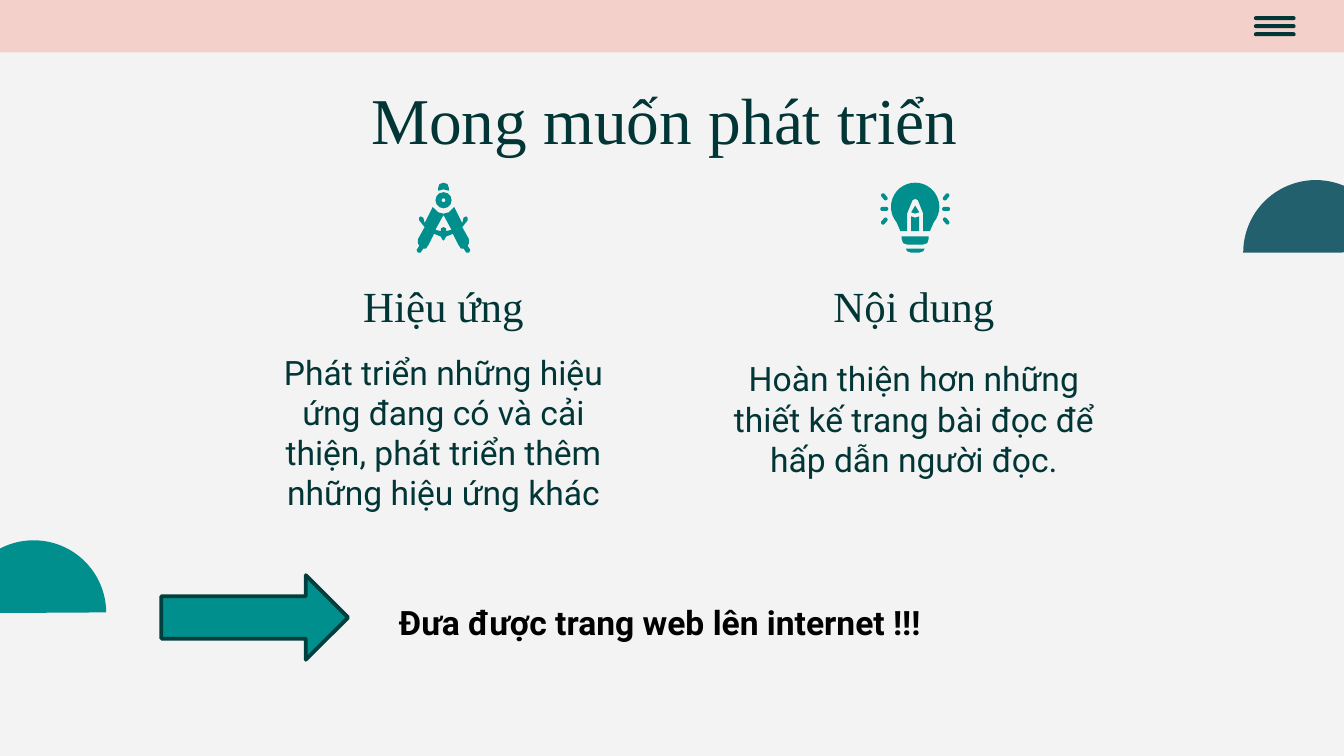
import math

import pptx
import pptx.dml.color
import pptx.enum.shapes
import pptx.enum.text
import pptx.util

Inches = pptx.util.Inches
Pt = pptx.util.Pt
SHAPE = pptx.enum.shapes.MSO_SHAPE
ALIGN = pptx.enum.text.PP_ALIGN
ANCHOR = pptx.enum.text.MSO_ANCHOR

DARK, TEAL, BLUE, PINK, PAPER = "023535", "008F8C", "23606E", "F3D0C9", "F3F3F3"
SERIF, SANS = "Times New Roman", "Roboto"

# Content
TITLE = "Mong muốn phát triển "
CONCLUSION = "Đưa được trang web lên internet !!!"
# heading, body, left edge, body top
COLUMNS = [
    ("Hiệu ứng",
     "Phát triển những hiệu ứng đang có và cải thiện, phát triển thêm những hiệu ứng khác",
     1.84, 2.66),
    ("Nội dung",
     "Hoàn thiện hơn những thiết kế trang bài đọc để hấp dẫn người đọc.",
     5.34, 2.56),
]
HALF_DISCS = [(9.25, 1.34, BLUE), (-0.29, 4.02, TEAL)]

# Icon outlines: right halves as (distance from axis, y), mirrored when drawn
COMPASS_AXIS, BULB_AXIS = 3.3, 6.81
COMPASS_CAP = [(0, 1.36), (0.03, 1.37), (0.04, 1.4), (0.04, 1.42), (0, 1.41)]
COMPASS_LEGS = [
    (0, 1.59), (0.04, 1.58), (0.08, 1.54), (0.14, 1.66), (0.15, 1.62),
    (0.17, 1.61), (0.18, 1.62), (0.18, 1.64), (0.14, 1.69), (0.19, 1.78),
    (0.19, 1.81), (0.18, 1.83), (0.2, 1.86), (0.19, 1.88), (0.17, 1.88),
    (0.15, 1.85), (0.13, 1.85), (0.11, 1.82), (0.07, 1.74), (0.02, 1.76),
    (0.01, 1.78), (0, 1.79)]
COMPASS_GAP = [(0, 1.6), (0.06, 1.71), (0.02, 1.72), (0.02, 1.7), (0, 1.69)]
BULB_ARC = [(0.18 * math.sin(math.radians(a)), 1.54 - 0.18 * math.cos(math.radians(a)))
            for a in range(0, 131, 10)]
BULB_GLASS = BULB_ARC + [(0.11, 1.72), (0.06, 1.72), (0.06, 1.59), (0.02, 1.49), (0, 1.48)]
PENCIL_BODY = [(0, 1.62), (0.03, 1.61), (0.03, 1.72), (0, 1.72)]
PENCIL_TIP = [(0, 1.53), (0.03, 1.58), (0, 1.59)]
BULB_COLLAR = [(0, 1.76), (0.1, 1.76), (0.1, 1.78), (0.09, 1.81), (0.06, 1.82), (0, 1.82)]
BULB_FOOT = [(0, 1.85), (0.07, 1.85), (0.06, 1.87), (0.03, 1.88), (0, 1.88)]
ICON_PARTS = [
    (COMPASS_AXIS, [COMPASS_CAP]),
    (COMPASS_AXIS, [COMPASS_LEGS, COMPASS_GAP]),
] + [(BULB_AXIS, [part]) for part in
     (BULB_GLASS, PENCIL_BODY, PENCIL_TIP, BULB_COLLAR, BULB_FOOT)]

# 16:9 slide
presentation = pptx.Presentation()
presentation.slide_width = Inches(10)
presentation.slide_height = Inches(10 * 9 / 16)
slide = presentation.slides.add_slide(presentation.slide_layouts[6])


def color(value):
    return pptx.dml.color.RGBColor.from_string(value)


def paint(shape, fill):
    shape.shadow.inherit = False
    shape.fill.solid()
    shape.fill.fore_color.rgb = color(fill)
    shape.line.fill.background()
    return shape


def add_shape(kind, left, top, width, height, fill):
    box = [Inches(v) for v in (left, top, width, height)]
    return paint(slide.shapes.add_shape(kind, *box), fill)


def add_pill(left, top, width, height, fill):
    pill = add_shape(SHAPE.ROUNDED_RECTANGLE, left, top, width, height, fill)
    pill.adjustments[0] = 0.5
    return pill


def add_symmetric(axis, halves, fill):
    builder = None
    for half in halves:
        outline = half + [(-x, y) for x, y in reversed(half[1:-1])]
        points = [(Inches(axis + x), Inches(y)) for x, y in outline]
        if builder is None:
            builder = slide.shapes.build_freeform(*points[0])
        else:
            builder.move_to(*points[0])
        builder.add_line_segments(points[1:], close=True)
    paint(builder.convert_to_shape(), fill)


def add_text(text, left, top, width, height, size, font, fill=DARK,
             anchor=ANCHOR.TOP, align=ALIGN.CENTER, bold=False, inset=0.1):
    shape = slide.shapes.add_textbox(*[Inches(v) for v in (left, top, width, height)])
    frame = shape.text_frame
    frame.word_wrap = True
    frame.vertical_anchor = anchor
    frame.margin_left = frame.margin_right = Inches(0.1)
    frame.margin_top = frame.margin_bottom = Inches(inset)
    paragraph = frame.paragraphs[0]
    paragraph.text = text
    paragraph.alignment = align
    paragraph.font.name, paragraph.font.size = font, Pt(size)
    paragraph.font.bold = bold
    paragraph.font.color.rgb = color(fill)


# Background, half discs, top band and menu bars
slide.background.fill.solid()
slide.background.fill.fore_color.rgb = color(PAPER)
for left, top, fill in HALF_DISCS:
    disc = add_shape(SHAPE.PIE, left, top, 1.08, 1.08, fill)
    disc.adjustments[0], disc.adjustments[1] = 54, 161.79
    disc.rotation = 90
add_shape(SHAPE.RECTANGLE, 0, 0, 10, 0.39, PINK)
for row in range(3):
    add_pill(9.33, 0.12 + 0.06 * row, 0.31, 0.03, DARK)

# Title and columns
add_text(TITLE, 0.79, 0.49, 8.43, 0.63, 35, SERIF)
for heading, body, left, body_top in COLUMNS:
    add_text(body, left, body_top, 2.92, 1.11, 18, SANS, anchor=ANCHOR.MIDDLE)
    add_text(heading, left, 1.95, 2.92, 0.61, 23, SERIF, anchor=ANCHOR.BOTTOM)

# Compass and light bulb icons
hinge = add_shape(SHAPE.DONUT, COMPASS_AXIS - 0.06, 1.43, 0.12, 0.12, TEAL)
hinge.adjustments[0] = 0.38
for axis, halves in ICON_PARTS:
    add_symmetric(axis, halves, TEAL)
for side in (-1, 1):
    for step in (-1, 0, 1):
        ray = add_pill(BULB_AXIS + 0.23 * side - 0.03, 1.54 + 0.09 * step, 0.06, 0.03, TEAL)
        ray.rotation = 50 * side * step % 360

# Conclusion
arrow = add_shape(SHAPE.RIGHT_ARROW, 1.2, 4.28, 1.39, 0.63, TEAL)
arrow.line.color.rgb = color("003F3D")
arrow.line.width = Pt(2)
add_text(CONCLUSION, 2.87, 4.43, 4.85, 0.4, 18, SANS, "000000",
         align=ALIGN.LEFT, bold=True, inset=0.05)

presentation.save("out.pptx")
